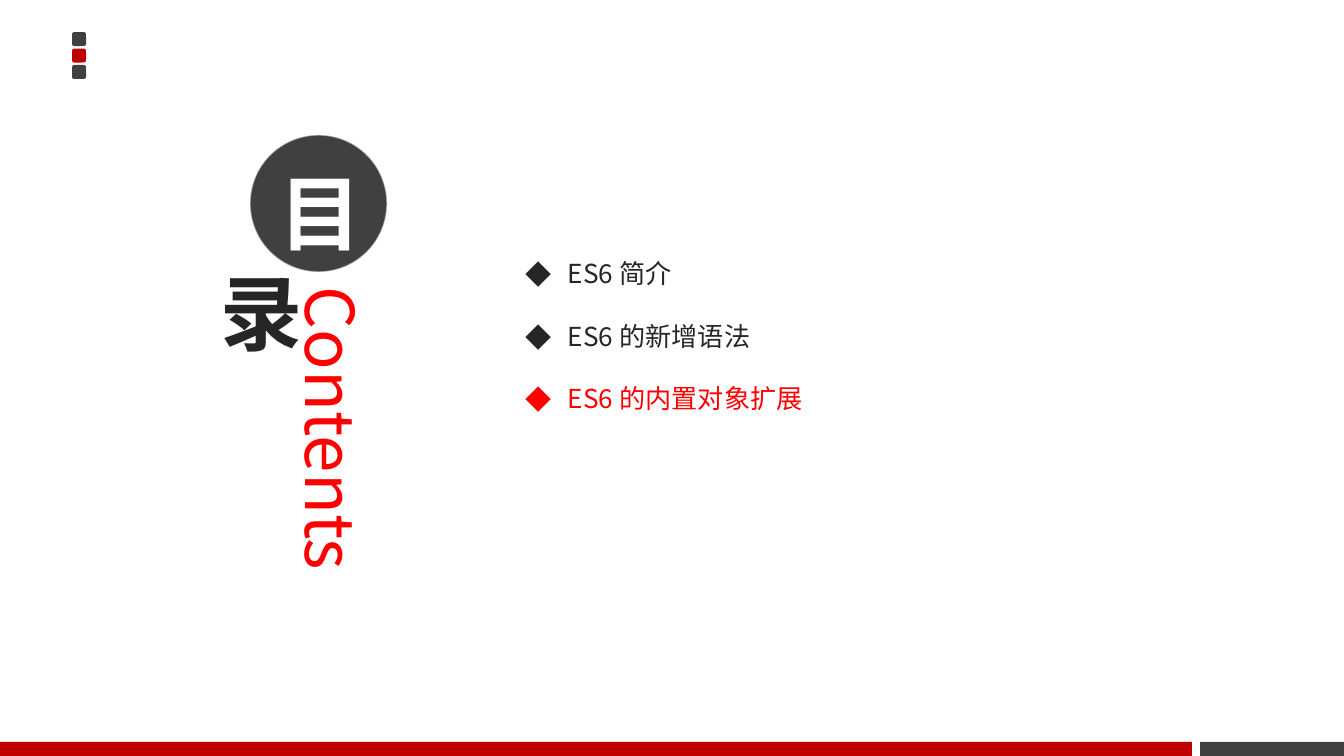
from lxml.etree import SubElement
from pptx import Presentation
from pptx.dml.color import RGBColor
from pptx.enum.shapes import MSO_SHAPE as Form
from pptx.enum.text import MSO_ANCHOR as Anchor, MSO_AUTO_SIZE as Fit, PP_ALIGN as Align
from pptx.oxml import parse_xml
from pptx.oxml.ns import nsdecls, qn
from pptx.util import Emu, Pt

FONT = "Noto Sans CJK SC"
DARK, INK, RED, HOT, WHITE = "404040", "262626", "C00000", "FF0000", "FFFFFF"
TOPICS = [("ES6 简介", INK), ("ES6 的新增语法", INK), ("ES6 的内置对象扩展", HOT)]
DOTS = [DARK, RED, DARK]
BARS = [(1200, 144, DARK), (0, 1192, RED)]


def px(n):
    return Emu(round(n * 914400 / 134.4))


def paint(fill, color):
    fill.solid()
    fill.fore_color.rgb = RGBColor.from_string(color)


def shape(form, box, color=None):
    item = slide.shapes.add_shape(form, *map(px, box))
    item.shadow.inherit = False
    item.line.fill.background()
    if color:
        paint(item.fill, color)
    else:
        item.fill.background()
    return item


def frame(item, pad, anchor=Anchor.TOP):
    body = item.text_frame
    body.word_wrap = True
    body.vertical_anchor = anchor
    body.margin_left, body.margin_top, body.margin_right, body.margin_bottom = map(px, pad)
    return body


def write(para, text, size, color, bold=False, align=None, space=None):
    para.alignment = align
    para.line_spacing = space
    run = para.add_run()
    run.text = text
    font = run.font
    font.size, font.bold, font.name = Pt(size), bold, FONT
    paint(font.fill, color)
    SubElement(font._element, qn("a:ea")).set("typeface", FONT)
    return run


def bullet(para, color):
    prop = para._p.get_or_add_pPr()
    prop.set("marL", str(px(42)))
    prop.set("indent", str(-px(42)))
    tint = SubElement(SubElement(prop, qn("a:buClr")), qn("a:srgbClr"))
    tint.set("val", color)
    SubElement(prop, qn("a:buFont")).set("typeface", FONT)
    SubElement(prop, qn("a:buChar")).set("char", "◆")


deck = Presentation()
deck.slide_width, deck.slide_height = px(1344), px(756)
slide = deck.slides.add_slide(deck.slide_layouts[6])

for i, color in enumerate(DOTS):
    shape(Form.ROUNDED_RECTANGLE, (72, 32 + 16.5 * i, 14, 14), color)
for left, width, color in BARS:
    shape(Form.RECTANGLE, (left, 742, width, 14), color)

side = slide.shapes.add_textbox(*map(px, (288, 282, 94, 388)))
body = frame(side, (9, 5, 9, 5))
body._txBody.bodyPr.set("vert", "eaVert")
write(body.paragraphs[0], "Contents", 36, HOT)

disc = shape(Form.OVAL, (250, 135, 137, 137), DARK)
paint(disc.line.fill, WHITE)
disc.line.width = Pt(0)
tint = disc.line._ln.find(".//" + qn("a:srgbClr"))
SubElement(tint, qn("a:alpha")).set("val", "49000")
body = frame(disc, (9, 5, 9, 20), Anchor.MIDDLE)
write(body.paragraphs[0], "目", 44, WHITE, bold=True, align=Align.CENTER, space=Pt(70))

ring = shape(Form.OVAL, (196, 258, 108, 108))
body = frame(ring, (9, 5, 9, 5), Anchor.MIDDLE)
run = write(body.paragraphs[0], "录", 44, INK, bold=True, align=Align.CENTER)
edge = parse_xml(f'<a:ln {nsdecls("a")} w="{Pt(0.25)}"><a:solidFill>'
                 f'<a:srgbClr val="{WHITE}"/></a:solidFill></a:ln>')
run.font._element.insert(0, edge)

topics = slide.shapes.add_textbox(*map(px, (513, 219, 634, 194)))
body = frame(topics, (13, 7, 13, 7))
body.auto_size = Fit.SHAPE_TO_FIT_TEXT
for i, (text, color) in enumerate(TOPICS):
    para = body.add_paragraph() if i else body.paragraphs[0]
    bullet(para, color)
    write(para, text, 14, color, space=2.0)

deck.save("out.pptx")
